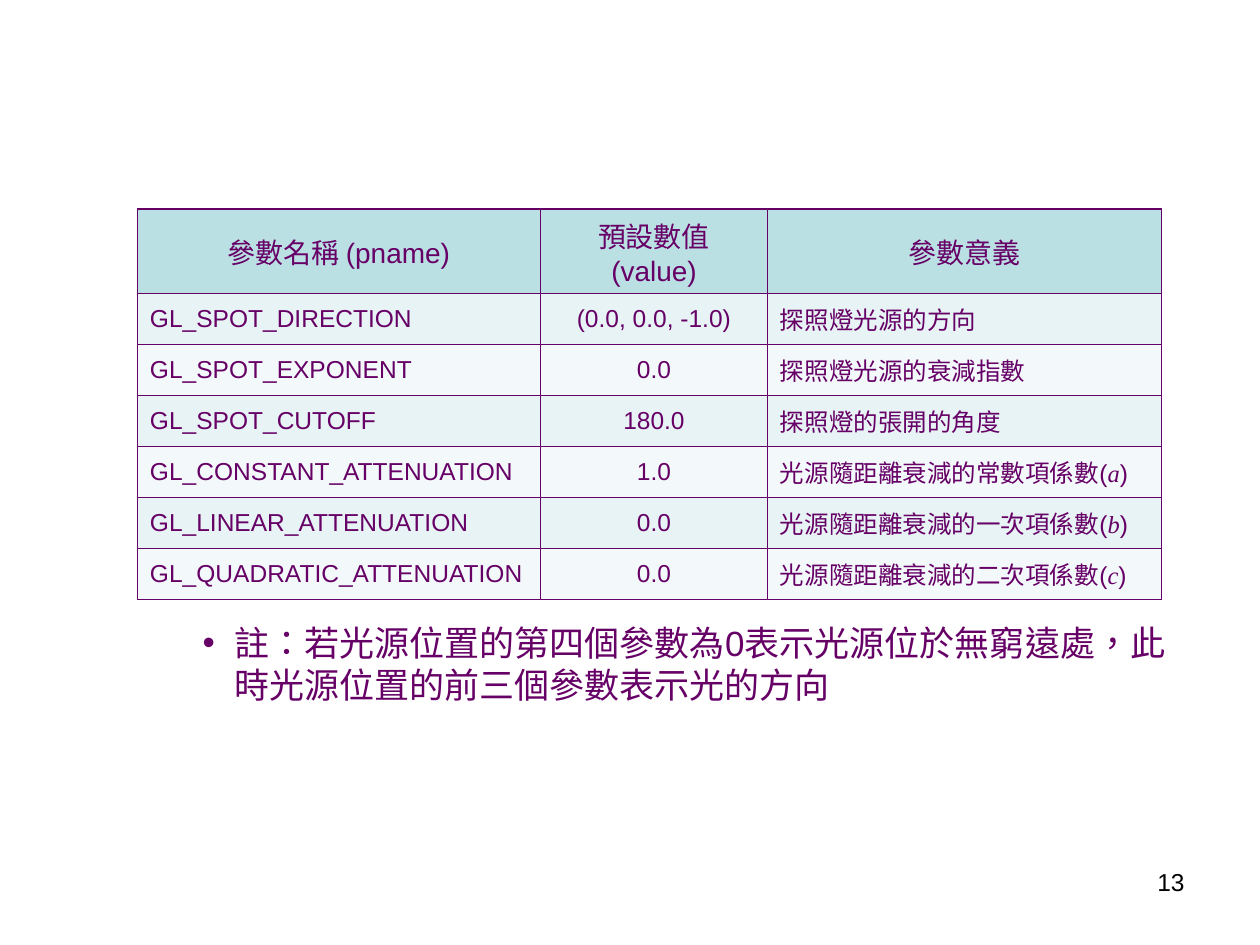
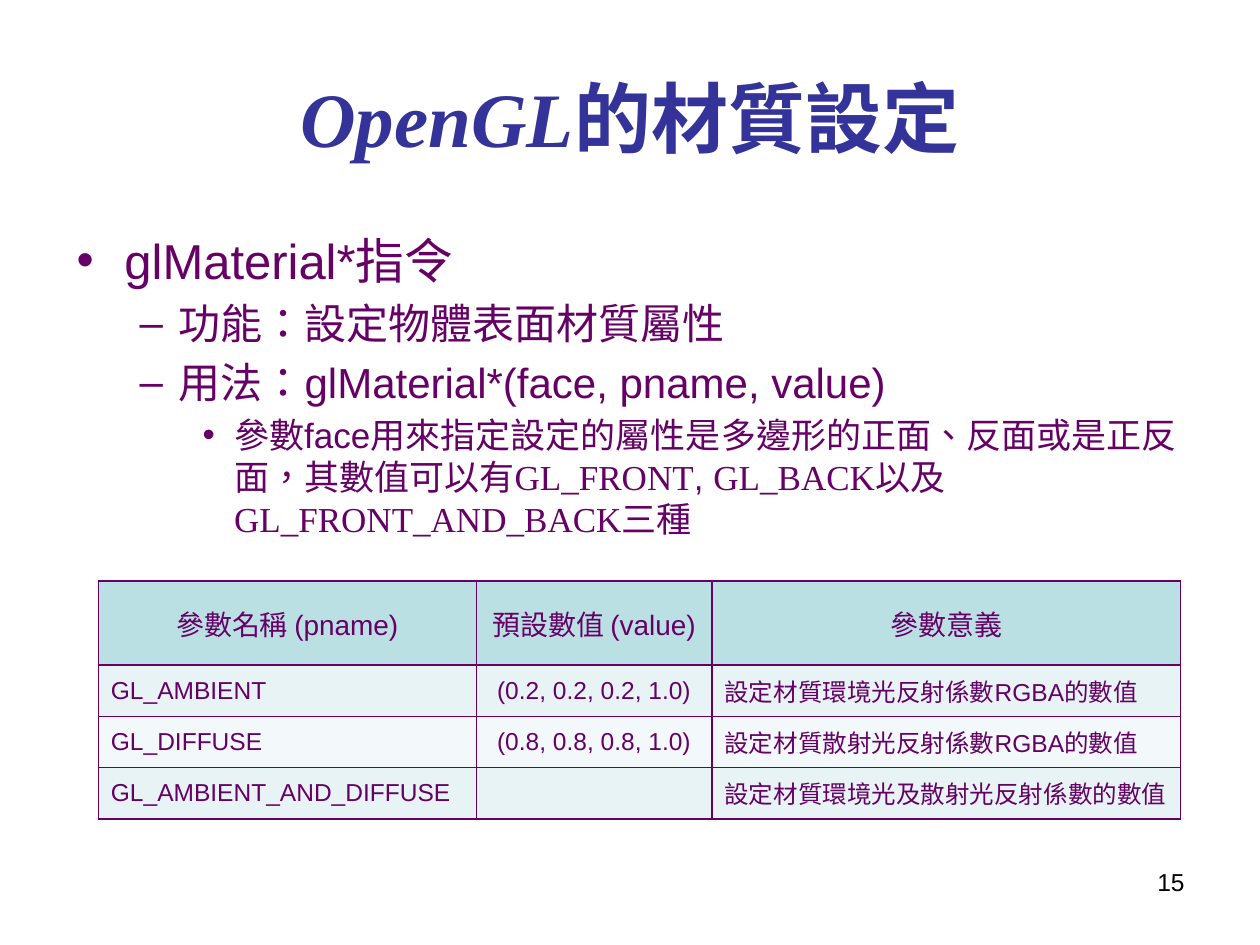
from dataclasses import dataclass

from lxml import etree
from pptx import Presentation
from pptx.dml.color import RGBColor
from pptx.enum.lang import MSO_LANGUAGE_ID
from pptx.enum.text import MSO_ANCHOR, PP_ALIGN
from pptx.oxml.ns import qn
from pptx.slide import Slide
from pptx.table import _Cell
from pptx.text.text import TextFrame, _Paragraph
from pptx.util import Inches, Pt

LEFT, CENTER, RIGHT = PP_ALIGN.LEFT, PP_ALIGN.CENTER, PP_ALIGN.RIGHT
TOP, MIDDLE = MSO_ANCHOR.TOP, MSO_ANCHOR.MIDDLE
LANGUAGE = MSO_LANGUAGE_ID.TRADITIONAL_CHINESE

PURPLE = RGBColor(0x66, 0x00, 0x66)
TITLE_BLUE = RGBColor(0x33, 0x33, 0x99)
BLACK = RGBColor(0x00, 0x00, 0x00)
HEADER_FILL = RGBColor(0xBB, 0xE0, 0xE3)
BAND_FILLS = (RGBColor(0xE7, 0xF3, 0xF4), RGBColor(0xF3, 0xF9, 0xFA))

SANS, SERIF = "Arial", "Times New Roman"
HEADINGS = ("參數名稱 (pname)", "預設數值 (value)", "參數意義")
COLUMN_ALIGNMENTS = (LEFT, CENTER, LEFT)
HEADER_HEIGHT = 0.67


@dataclass(frozen=True)
class Run:
    text: str
    font: str = SANS
    italic: bool = False


@dataclass(frozen=True)
class BulletLevel:
    mark: str
    size: int
    indent: float
    hanging: float


@dataclass(frozen=True)
class Bullet:
    level: int
    content: "Content"


@dataclass(frozen=True)
class ParameterTable:
    left: float
    top: float
    height: float
    widths: tuple[float, ...]
    rows: tuple[tuple["Content", ...], ...]


Content = str | tuple[Run, ...]

BULLET_LEVELS = (
    BulletLevel("•", 28, 0.38, 0.38),
    BulletLevel("–", 24, 0.81, 0.31),
    BulletLevel("•", 20, 1.25, 0.25),
)


def coefficient(order: str, symbol: str) -> Content:
    return (Run(f"光源隨距離衰減的{order}項係數("), Run(symbol, SERIF, True), Run(")"))


LIGHT_TABLE = ParameterTable(1.09, 1.66, 3.1, (3.2, 1.8, 3.13), (
    ("GL_SPOT_DIRECTION", "(0.0, 0.0, -1.0)", "探照燈光源的方向"),
    ("GL_SPOT_EXPONENT", "0.0", "探照燈光源的衰減指數"),
    ("GL_SPOT_CUTOFF", "180.0", "探照燈的張開的角度"),
    ("GL_CONSTANT_ATTENUATION", "1.0", coefficient("常數", "a")),
    ("GL_LINEAR_ATTENUATION", "0.0", coefficient("一次", "b")),
    ("GL_QUADRATIC_ATTENUATION", "0.0", coefficient("二次", "c")),
))
LIGHT_NOTE = (
    Bullet(2, "註：若光源位置的第四個參數為0表示光源位於無窮遠處，此時光源位置的前三個參數表示光的方向"),
)

MATERIAL_TITLE = (Run("OpenGL", SERIF, True), Run("的材質設定", SERIF))
MATERIAL_BULLETS = (
    Bullet(0, "glMaterial*指令"),
    Bullet(1, "功能：設定物體表面材質屬性"),
    Bullet(1, "用法：glMaterial*(face, pname, value)"),
    Bullet(2, (
        Run("參數face用來指定設定的屬性是多邊形的正面、反面或是正反面，其數值可以有"),
        Run("GL_FRONT", SERIF),
        Run(", "),
        Run("GL_BACK", SERIF),
        Run("以及"),
        Run("GL_FRONT_AND_BACK", SERIF),
        Run("三種"),
    )),
)
MATERIAL_TABLE = ParameterTable(0.78, 4.61, 1.89, (3, 1.87, 3.72), (
    ("GL_AMBIENT", "(0.2, 0.2, 0.2, 1.0)", "設定材質環境光反射係數RGBA的數值"),
    ("GL_DIFFUSE", "(0.8, 0.8, 0.8, 1.0)", "設定材質散射光反射係數RGBA的數值"),
    ("GL_AMBIENT_AND_DIFFUSE", "", "設定材質環境光及散射光反射係數的數值"),
))


def write_text(paragraph: _Paragraph, content: Content, *, size: float,
               color: RGBColor = PURPLE, bold: bool = False,
               alignment: PP_ALIGN = LEFT) -> None:
    paragraph.alignment = alignment
    paragraph.font.size = Pt(size)
    parts = (Run(content),) if isinstance(content, str) else content
    for part in parts:
        if not part.text:
            continue
        run = paragraph.add_run()
        run.text = part.text
        font = run.font
        font.name, font.size, font.bold, font.italic = part.font, Pt(size), bold, part.italic
        font.color.rgb = color
        font.language_id = LANGUAGE


def add_text_frame(slide: Slide, left: float, top: float, width: float, height: float,
                   anchor: MSO_ANCHOR = TOP) -> TextFrame:
    box = slide.shapes.add_textbox(Inches(left), Inches(top), Inches(width), Inches(height))
    box.text_frame.word_wrap = True
    box.text_frame.vertical_anchor = anchor
    return box.text_frame


def add_title(slide: Slide, title: Content) -> None:
    frame = add_text_frame(slide, 0.5, 0.3, 9, 1.25, MIDDLE)
    write_text(frame.paragraphs[0], title, size=44, color=TITLE_BLUE, bold=True,
               alignment=CENTER)


def add_page_number(slide: Slide, number: int) -> None:
    frame = add_text_frame(slide, 7.17, 6.83, 2.33, 0.52)
    write_text(frame.paragraphs[0], str(number), size=14, color=BLACK, alignment=RIGHT)


def add_bullets(slide: Slide, bullets: tuple[Bullet, ...], top: float, height: float) -> None:
    frame = add_text_frame(slide, 0.51, top, 9, height)
    for index, bullet in enumerate(bullets):
        level = BULLET_LEVELS[bullet.level]
        paragraph = frame.add_paragraph() if index else frame.paragraphs[0]
        paragraph.level = bullet.level
        properties = paragraph._p.get_or_add_pPr()
        properties.set("marL", str(Inches(level.indent)))
        properties.set("indent", str(-Inches(level.hanging)))
        etree.SubElement(properties, qn("a:buFont"), typeface=SANS)
        etree.SubElement(properties, qn("a:buChar"), char=level.mark)
        if index:
            paragraph.space_before = Pt(level.size * 0.2)
        write_text(paragraph, bullet.content, size=level.size)


def set_borders(cell: _Cell) -> None:
    """Draw a one-point line on all four sides; lines must precede the fill."""
    properties = cell._tc.get_or_add_tcPr()
    for index, side in enumerate(("a:lnL", "a:lnR", "a:lnT", "a:lnB")):
        line = etree.Element(qn(side), w=str(Pt(1)))
        fill = etree.SubElement(line, qn("a:solidFill"))
        etree.SubElement(fill, qn("a:srgbClr"), val=str(PURPLE))
        properties.insert(index, line)


def add_parameter_table(slide: Slide, parameters: ParameterTable) -> None:
    rows = (HEADINGS, *parameters.rows)
    body_height = (parameters.height - HEADER_HEIGHT) / len(parameters.rows)
    table = slide.shapes.add_table(
        len(rows), len(HEADINGS), Inches(parameters.left), Inches(parameters.top),
        Inches(sum(parameters.widths)), Inches(parameters.height)).table
    table.first_row = table.horz_banding = False
    for column, width in zip(table.columns, parameters.widths):
        column.width = Inches(width)
    for row_index, contents in enumerate(rows):
        is_header = row_index == 0
        table.rows[row_index].height = Inches(HEADER_HEIGHT if is_header else body_height)
        for column_index, content in enumerate(contents):
            cell = table.cell(row_index, column_index)
            cell.vertical_anchor = MIDDLE
            cell.fill.solid()
            cell.fill.fore_color.rgb = (
                HEADER_FILL if is_header else BAND_FILLS[(row_index - 1) % 2])
            set_borders(cell)
            write_text(cell.text_frame.paragraphs[0], content,
                       size=16 if is_header else 14,
                       alignment=CENTER if is_header else COLUMN_ALIGNMENTS[column_index])


def main() -> None:
    presentation = Presentation()
    presentation.slide_width, presentation.slide_height = Inches(10), Inches(7.5)
    blank = presentation.slide_layouts[6]

    light_slide = presentation.slides.add_slide(blank)
    add_bullets(light_slide, LIGHT_NOTE, top=4.88, height=1.85)
    add_page_number(light_slide, 13)
    add_parameter_table(light_slide, LIGHT_TABLE)

    material_slide = presentation.slides.add_slide(blank)
    add_title(material_slide, MATERIAL_TITLE)
    add_bullets(material_slide, MATERIAL_BULLETS, top=1.78, height=4.95)
    add_page_number(material_slide, 15)
    add_parameter_table(material_slide, MATERIAL_TABLE)

    presentation.save("out.pptx")


if __name__ == "__main__":
    main()
